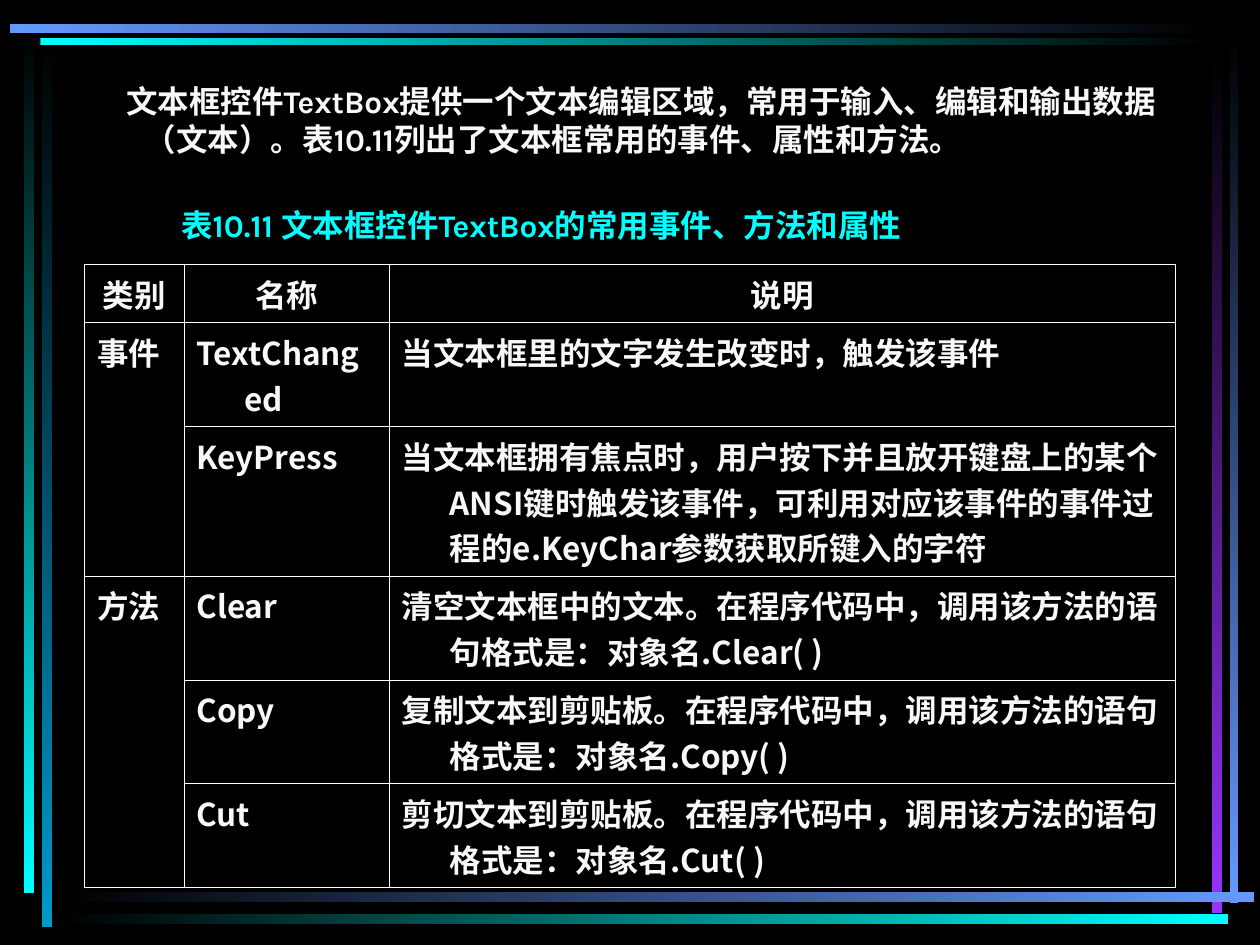
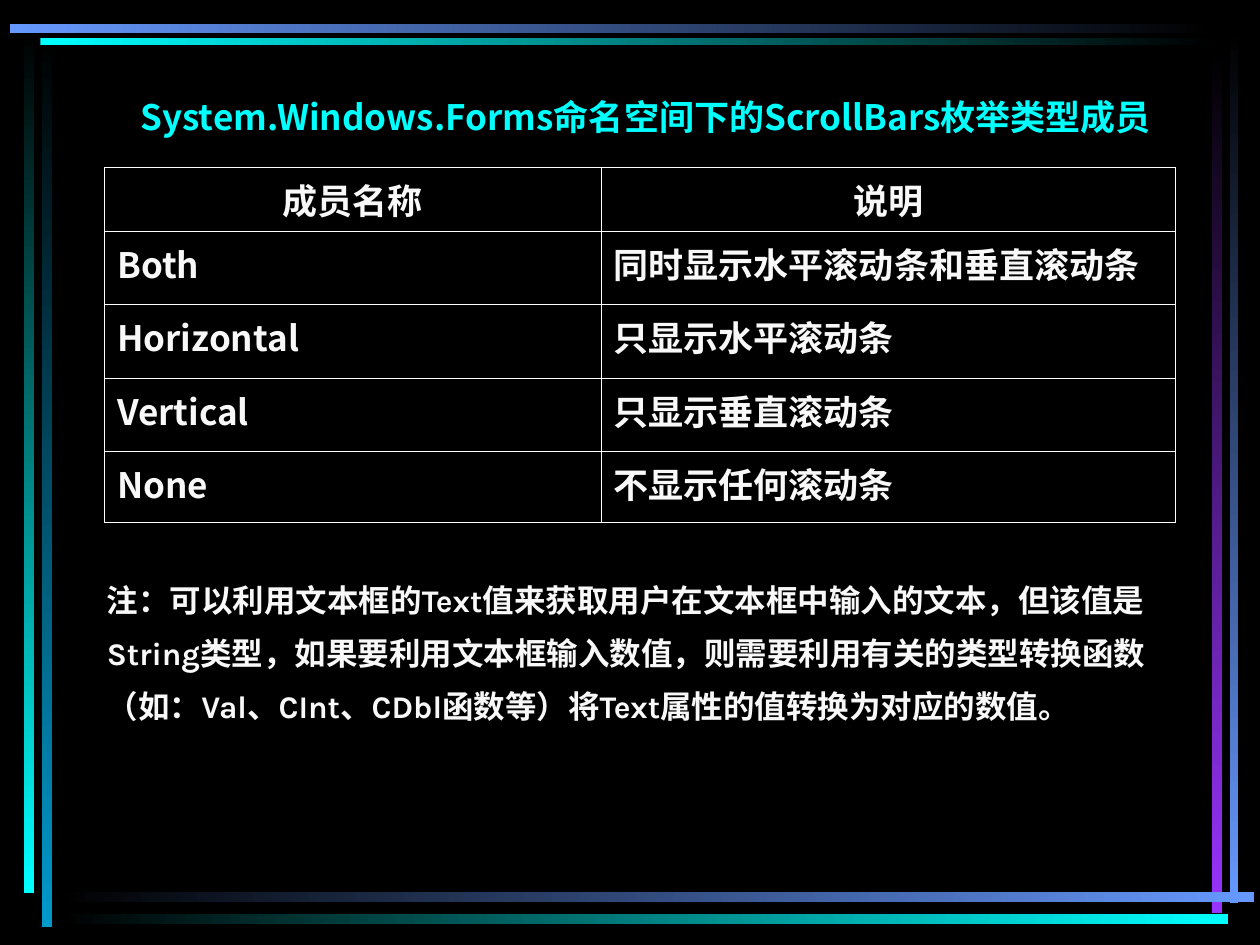
from pptx import Presentation
from pptx.dml.color import RGBColor
from pptx.enum.shapes import MSO_SHAPE
from pptx.enum.text import MSO_ANCHOR, MSO_AUTO_SIZE, PP_ALIGN
from pptx.oxml.ns import qn
from pptx.util import Inches, Pt
from lxml.etree import SubElement

COLORS = {
    "black": "000000", "ink": "F8F8F8", "rule": "FFFFFF", "cyan": "00FFFF",
    "teal": "0099CC", "blue": "6699FF", "purple": "9933FF",
}
LATIN, CJK = "Karla", "Noto Sans CJK SC"
COLS, ROWS = 100, 75
UNIT = Inches(0.1)
HANGING = 3.8

VERTICAL_BANDS = [
    ((3.3, 2.8, 0.8, 70.8), "teal"), ((1.9, 2.5, 0.8, 68.4), "cyan"),
    ((97.6, 2.4, 0.7, 69.3), "blue"), ((96.2, 4.2, 0.8, 68.3), "purple"),
]
BOTTOM_BANDS = [((4.5, 70.8, 95, 0.8), "blue"), ((4.5, 72.5, 93, 0.8), "cyan")]
TOP_BANDS = [((3.2, 3, 93.2, 0.6), "cyan"), ((0.8, 1.9, 95.6, 0.7), "blue")]

TEXTBOX_ROWS = [
    ("类别", "名称", "说明"),
    ("事件", "TextChanged", "当文本框里的文字发生改变时，触发该事件"),
    ("", "KeyPress", "当文本框拥有焦点时，用户按下并且放开键盘上的某个ANSI键时触发该事件，"
     "可利用对应该事件的事件过程的e.KeyChar参数获取所键入的字符"),
    ("方法", "Clear", "清空文本框中的文本。在程序代码中，调用该方法的语句格式是：对象名.Clear( )"),
    ("", "Copy", "复制文本到剪贴板。在程序代码中，调用该方法的语句格式是：对象名.Copy( )"),
    ("", "Cut", "剪切文本到剪贴板。在程序代码中，调用该方法的语句格式是：对象名.Cut( )"),
]
SCROLLBARS_ROWS = [
    ("成员名称", "说明"),
    ("Both", "同时显示水平滚动条和垂直滚动条"),
    ("Horizontal", "只显示水平滚动条"),
    ("Vertical", "只显示垂直滚动条"),
    ("None", "不显示任何滚动条"),
]


def rgb(name):
    """Return the named colour."""
    return RGBColor.from_string(COLORS[name])


def grid(*lengths):
    """Turn grid units into slide lengths."""
    return [round(n * UNIT) for n in lengths]


def place(sp, box):
    """Move a shape to a box on the grid."""
    sp.left, sp.top, sp.width, sp.height = grid(*box)


def style(p, size, color="ink", font=CJK, align=PP_ALIGN.LEFT,
          margin=HANGING, indent=-HANGING, before=0, spacing=1.0):
    """Set the font, indents and spacing of a paragraph."""
    p.alignment, p.line_spacing, p.space_before = align, spacing, Pt(before)
    p.font.size, p.font.bold, p.font.name = Pt(size), True, font
    p.font.color.rgb = rgb(color)
    pPr = p._p.get_or_add_pPr()
    SubElement(pPr.find(qn("a:defRPr")), qn("a:ea"), typeface=font)
    margin, indent = grid(margin, indent)
    pPr.set("marL", str(margin))
    pPr.set("indent", str(indent))
    if pPr.find(qn("a:buNone")) is None:
        pPr.find(qn("a:defRPr")).addprevious(pPr.makeelement(qn("a:buNone")))


def fill_text(sp, lines, size, **options):
    """Write styled lines into a wrapping text shape."""
    tf = sp.text_frame
    tf.text = "\n".join(lines)
    tf.word_wrap, tf.auto_size = True, MSO_AUTO_SIZE.NONE
    for p in tf.paragraphs:
        style(p, size, **options)


def add_text(s, box, lines, size, **options):
    """Add a text box to the slide."""
    fill_text(s.shapes.add_textbox(*grid(*box)), lines, size, **options)


def add_band(s, box, start, end, angle):
    """Add one gradient band and return it."""
    sp = s.shapes.add_shape(MSO_SHAPE.RECTANGLE, *grid(*box))
    sp.shadow.inherit = False
    sp.line.fill.background()
    sp.fill.gradient()
    sp.fill.gradient_angle = angle
    for stop, color, position in zip(sp.fill.gradient_stops, (start, end), (0, 1)):
        stop.color.rgb = rgb(color)
        stop.position = position
    return sp


def build_frame(master, s):
    """Give the master a black background and the glowing frame."""
    master.background.fill.solid()
    master.background.fill.fore_color.rgb = rgb("black")
    bands = [add_band(s, box, "black", color, 270) for box, color in VERTICAL_BANDS]
    bands += [add_band(s, box, "black", color, 0) for box, color in BOTTOM_BANDS]
    bands += [add_band(s, box, color, "black", 0) for box, color in TOP_BANDS]
    for i, sp in enumerate(bands):
        sp.element.nvSpPr.cNvPr.set("id", str(100 + i))
        master.shapes.element.insert(2 + i, sp.element)


def rule_cell(cell):
    """Draw thin rules on the four sides of a cell."""
    tcPr = cell._tc.get_or_add_tcPr()
    for i, side in enumerate(("lnL", "lnR", "lnT", "lnB")):
        ln = tcPr.makeelement(qn(f"a:{side}"), {"w": str(Pt(0.45))})
        fill = SubElement(ln, qn("a:solidFill"))
        SubElement(fill, qn("a:srgbClr"), val=COLORS["rule"])
        tcPr.insert(i, ln)


def add_grid_table(s, left, top, widths, heights, rows, size, merges=()):
    """Add a ruled table with a centred header row."""
    box = grid(left, top, sum(widths), sum(heights))
    table = s.shapes.add_table(len(rows), len(widths), *box).table
    table.first_row = table.horz_banding = False
    for column, width in zip(table.columns, grid(*widths)):
        column.width = width
    for row, height in zip(table.rows, grid(*heights)):
        row.height = height
    for r, texts in enumerate(rows):
        for c, text in enumerate(texts):
            cell = table.cell(r, c)
            cell.text = text
            cell.fill.background()
            rule_cell(cell)
            style(cell.text_frame.paragraphs[0], size,
                  align=PP_ALIGN.LEFT if r else PP_ALIGN.CENTER)
    for first, last in merges:
        table.cell(first, 0).merge(table.cell(last, 0))


def build_textbox_slide(s):
    """Fill the slide on the events and methods of TextBox."""
    s.shapes.title.element.getparent().remove(s.shapes.title.element)
    body = s.placeholders[1]
    place(body, (6.7, 6, 86.6, 8.7))
    fill_text(body, ["文本框控件TextBox提供一个文本编辑区域，常用于输入、编辑和输出数据（文本）。"
                     "表10.11列出了文本框常用的事件、属性和方法。"],
              18, font=LATIN, indent=-1.5, before=4.5)
    add_grid_table(s, 6.7, 21, (7.9, 16.3, 62.4), (4, 7, 10, 7, 7, 7),
                   TEXTBOX_ROWS, 18, merges=((1, 2), (3, 5)))
    add_text(s, (13.4, 16.2, 71.6, 3.7), ["表10.11 文本框控件TextBox的常用事件、方法和属性"],
             18, color="cyan", font=LATIN, before=4.5, spacing=0.9)


def build_scrollbars_slide(s):
    """Fill the slide on the members of ScrollBars."""
    title = s.shapes.title
    place(title, (7.5, 6.8, 87.5, 4.9))
    fill_text(title, ["System.Windows.Forms命名空间下的ScrollBars枚举类型成员"], 20,
              color="cyan", align=PP_ALIGN.CENTER, margin=0, indent=0)
    title.text_frame.vertical_anchor = MSO_ANCHOR.MIDDLE
    add_grid_table(s, 8.3, 13.3, (39.4, 45.6), (4.3, 5.8, 5.9, 5.8, 5.6),
                   SCROLLBARS_ROWS, 20)
    add_text(s, (7.5, 45, 85.6, 16.7),
             ["注：可以利用文本框的Text值来获取用户在文本框中输入的文本，但该值是",
              "String类型，如果要利用文本框输入数值，则需要利用有关的类型转换函数",
              "（如：Val、CInt、CDbl函数等）将Text属性的值转换为对应的数值。"],
             18, font=LATIN, before=4.5, spacing=1.2)


def main():
    """Build and save the two slides."""
    prs = Presentation()
    prs.slide_width, prs.slide_height = grid(COLS, ROWS)
    layouts = prs.slide_layouts
    textbox_slide = prs.slides.add_slide(layouts.get_by_name("Title and Content"))
    scrollbars_slide = prs.slides.add_slide(layouts.get_by_name("Title Only"))
    build_frame(prs.slide_master, textbox_slide)
    build_textbox_slide(textbox_slide)
    build_scrollbars_slide(scrollbars_slide)
    prs.save("out.pptx")


if __name__ == "__main__":
    main()
